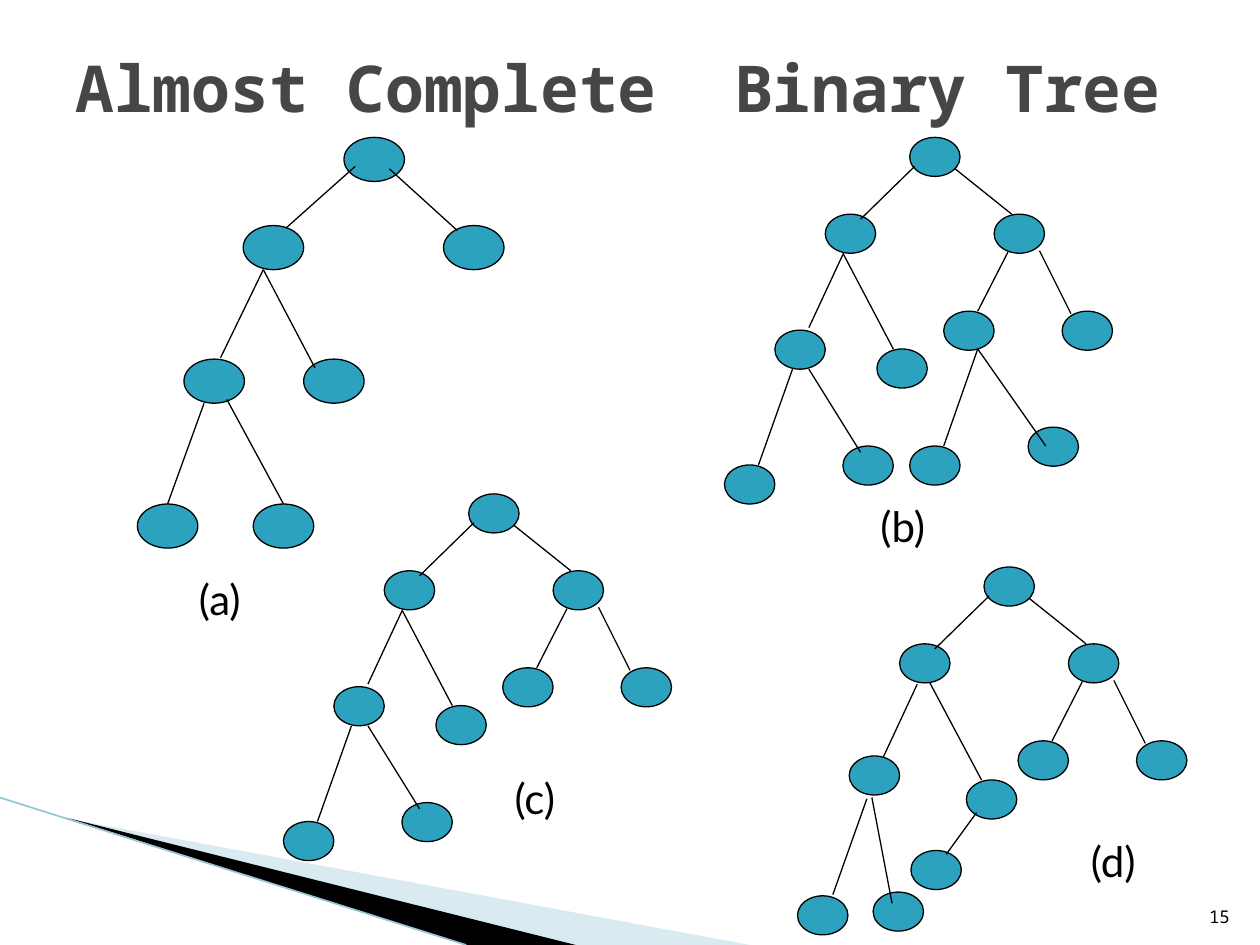
from pptx import Presentation
from pptx.dml.color import RGBColor
from pptx.enum.shapes import MSO_CONNECTOR as Connector, MSO_SHAPE as Preset
from pptx.enum.text import MSO_ANCHOR as Anchor, PP_ALIGN as Align
from pptx.oxml.ns import qn
from pptx.util import Inches, Pt
from lxml.etree import SubElement

COLUMNS, ROWS = 10, 7.5
CELL = Inches(1)
BLACK = RGBColor(0x00, 0x00, 0x00)
TEAL = RGBColor(0x2D, 0xA2, 0xBF)
PALE = RGBColor(0xA0, 0xCB, 0xDC)
EDGE = RGBColor(0x97, 0xC5, 0xD8)
GRAY = RGBColor(0x46, 0x46, 0x46)
MONO, SANS = "Noto Sans Mono", "Lato"

LARGE, SMALL = (0.48, 0.35), (0.4, 0.31)

SHARED_NODES = [(0, 0), (-0.67, 0.61), (0.67, 0.61), (0.27, 1.38), (1.21, 1.38)]
SHARED_EDGES = [
    (0.04, 0.23, -0.39, 0.65), (0.36, 0.25, 0.81, 0.61),
    (-0.53, 0.93, -0.8, 1.51), (0.78, 0.91, 0.54, 1.38),
    (1.03, 0.9, 1.28, 1.4), (-0.93, 1.84, -1.2, 2.6),
]
FULL_NODES = SHARED_NODES + [
    (-1.07, 1.53), (-0.26, 1.68), (-1.47, 2.6), (-0.53, 2.45)]
FULL_EDGES = SHARED_EDGES + [
    (-0.53, 0.92, -0.13, 1.68), (-0.8, 1.84, -0.39, 2.5)]

TREES = [
    ((2.73, 1.09), LARGE,
     [(0, 0), (-0.8, 0.7), (0.79, 0.7), (-1.27, 1.76), (-0.32, 1.76),
      (-1.64, 2.91), (-0.72, 2.91)],
     [(0.09, 0.23, -0.46, 0.72), (0.36, 0.25, 0.9, 0.74),
      (-0.64, 1.05, -0.98, 1.75), (-0.64, 1.05, -0.23, 1.83),
      (-1.11, 2.11, -1.4, 2.91), (-0.93, 2.08, -0.48, 2.91)]),
    ((7.22, 1.09), SMALL,
     FULL_NODES + [(0, 2.45), (0.94, 2.3)],
     FULL_EDGES + [(0.54, 1.68, 0.27, 2.45), (0.54, 1.68, 1.08, 2.45)]),
    ((3.72, 3.92), SMALL, FULL_NODES, FULL_EDGES),
    ((7.81, 4.5), SMALL,
     SHARED_NODES + [(-1.07, 1.5), (-0.14, 1.69), (-1.48, 2.61),
                     (-0.88, 2.58), (-0.58, 2.25)],
     SHARED_EDGES + [(-0.43, 0.92, -0.02, 1.69), (-0.89, 1.83, -0.73, 2.67),
                     (-0.06, 1.95, -0.3, 2.28)]),
]
LABELS = [("(a)", 1.33, 4.5), ("(b)", 6.75, 3.92),
          ("(c)", 3.83, 6.08), ("(d)", 8.42, 6.58)]


def cells(*lengths):
    return [round(length * CELL) for length in lengths]


def write(box, text, size=24, font=SANS, color=BLACK, bold=False,
          align=Align.CENTER, anchor=Anchor.TOP):
    frame = box.text_frame
    frame.word_wrap = True
    frame.vertical_anchor = anchor
    para = frame.paragraphs[0]
    para.alignment = align
    span = para.add_run()
    span.text = text
    span.font.size = Pt(size)
    span.font.name = font
    span.font.bold = bold
    span.font.color.rgb = color


class Painter:
    """Draws styled elements on the current slide, measured in grid cells."""

    def __init__(self, page):
        self.page = page
        self.line_width = 0.75

    def text(self, text, left, top, width, height, **style):
        box = self.page.shapes.add_textbox(*cells(left, top, width, height))
        write(box, text, **style)

    def wedge(self, points, color, opacity=100):
        start, *rest = [cells(*point) for point in points]
        builder = self.page.shapes.build_freeform(*start)
        builder.add_line_segments(rest, close=True)
        shape = builder.convert_to_shape()
        shape.shadow.inherit = False
        shape.fill.solid()
        shape.fill.fore_color.rgb = color
        shape.line.fill.background()
        if opacity < 100:
            tint = shape.fill._xPr.find(qn("a:solidFill"))[0]
            SubElement(tint, qn("a:alpha")).set("val", str(opacity * 1000))

    def line(self, start, end, color=BLACK, width=None, shapes=None):
        shapes = shapes or self.page.shapes
        line = shapes.add_connector(Connector.STRAIGHT, *cells(*start, *end))
        line.line.color.rgb = color
        line.line.width = Pt(width or self.line_width)
        SubElement(line._element.spPr, qn("a:effectLst"))

    def node(self, shapes, left, top, size):
        node = shapes.add_shape(Preset.OVAL, *cells(left, top, *size))
        node.shadow.inherit = False
        node.fill.solid()
        node.fill.fore_color.rgb = TEAL
        node.line.color.rgb = BLACK
        node.line.width = Pt(self.line_width)

    def tree(self, root, size, nodes, edges):
        shapes = self.page.shapes.add_group_shape().shapes
        left, top = root
        for x, y in nodes:
            self.node(shapes, left + x, top + y, size)
        for x1, y1, x2, y2 in edges:
            self.line((left + x1, top + y1), (left + x2, top + y2), shapes=shapes)


def main():
    deck = Presentation()
    deck.slide_width, deck.slide_height = cells(COLUMNS, ROWS)
    painter = Painter(deck.slides.add_slide(deck.slide_layouts[6]))

    painter.wedge([(0.55, 6.5), (5.95, ROWS), (4.56, ROWS)], PALE, opacity=40)
    painter.wedge([(0.53, 6.49), (4.57, ROWS), (3.7, ROWS)], BLACK)
    painter.line((0, 6.33), (3.7, ROWS), EDGE, 0.95)
    painter.text("Almost Complete  Binary Tree", 0.5, 0.3, 9, 0.78, size=36.9,
                 font=MONO, color=GRAY, bold=True, align=Align.LEFT,
                 anchor=Anchor.MIDDLE)
    for tree in TREES:
        painter.tree(*tree)
    for label, left, top in LABELS:
        painter.text(label, left, top, 0.83, 0.51)
    painter.text("15", 9.46, 7.01, 0.4, 0.4, size=10, font=MONO,
                 align=Align.RIGHT, anchor=Anchor.BOTTOM)
    deck.save("out.pptx")


if __name__ == "__main__":
    main()
